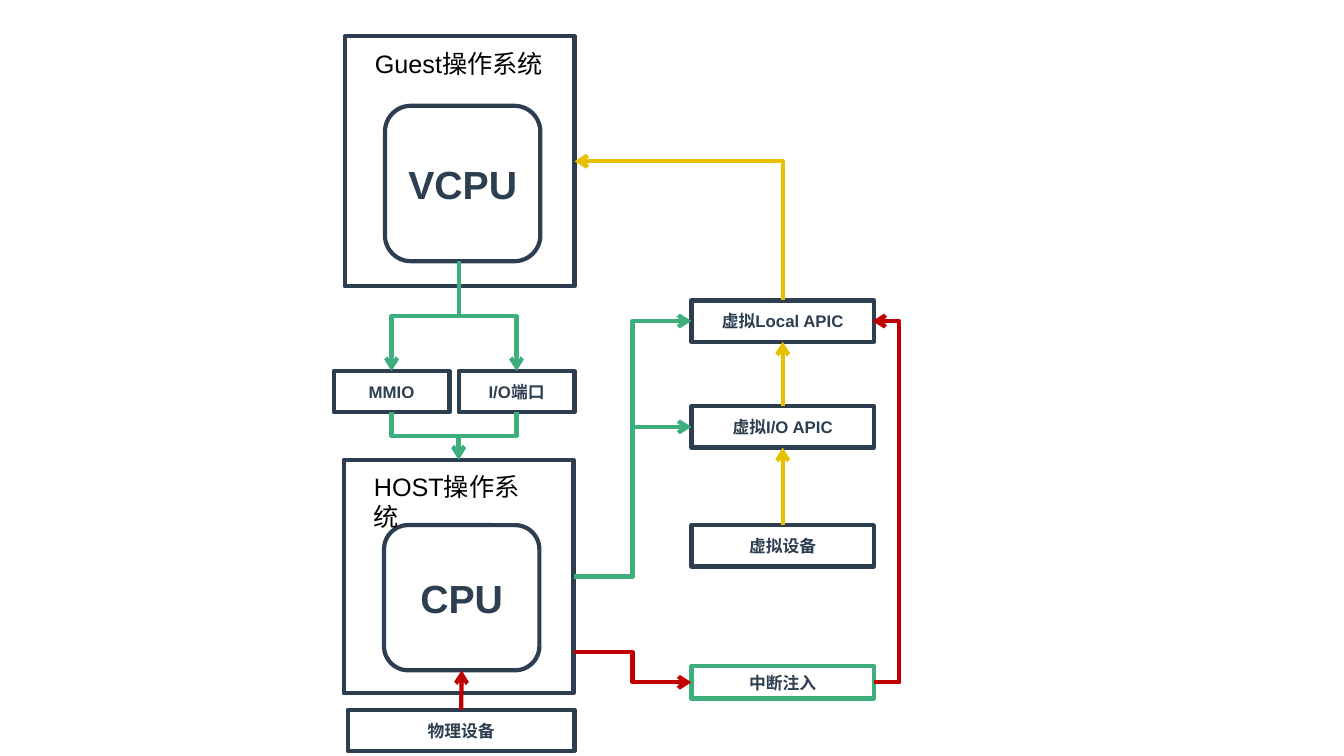
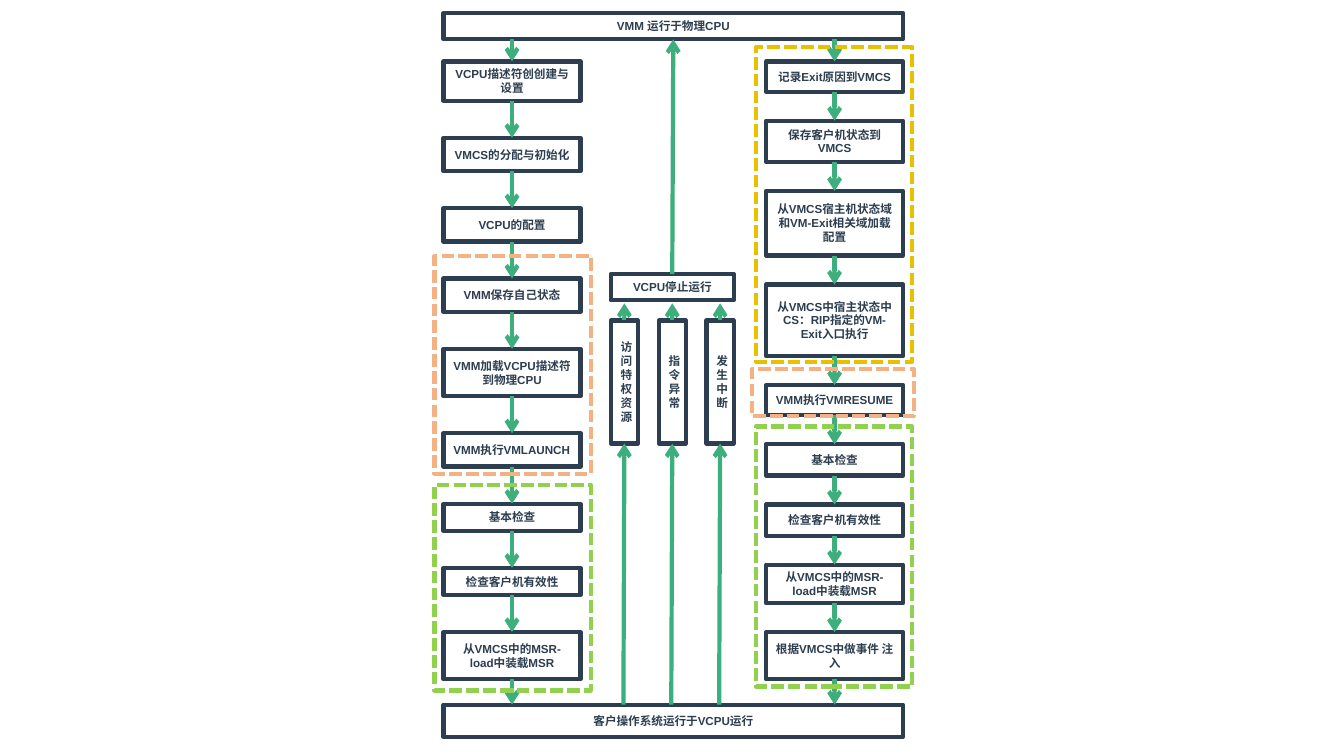
from typing import NamedTuple

from lxml.etree import SubElement
from pptx import Presentation
from pptx.dml.color import RGBColor
from pptx.enum.dml import MSO_LINE
from pptx.enum.shapes import MSO_CONNECTOR as Link, MSO_SHAPE as Preset
from pptx.enum.text import MSO_ANCHOR as Anchor, PP_ALIGN as Align
from pptx.oxml.ns import qn
from pptx.util import Pt

NAVY, GREEN, GOLD, RED = "2C3E50", "3EAF7C", "E7C000", "C00000"
LIME, PEACH, BLACK = "92D050", "F4B183", "000000"
FONT = "Arial"
LINE_WIDTH = 3
TOP, LEFT, BOTTOM, RIGHT = range(4)


class Box(NamedTuple):
    left: float
    top: float
    width: float
    height: float

    def inner(self, left, top, width, height):
        """Box given relative to this one's top left corner."""
        return Box(self.left + left, self.top + top, width, height)

    def lengths(self):
        return [Pt(length) for length in self]


class Port(NamedTuple):
    """Middle of one side of a shape."""
    shape: object
    side: int

    def point(self):
        shape = self.shape
        left, top = shape.left.pt, shape.top.pt
        width, height = shape.width.pt, shape.height.pt
        across = {LEFT: 0, RIGHT: 1}.get(self.side, 0.5)
        down = {TOP: 0, BOTTOM: 1}.get(self.side, 0.5)
        return left + across * width, top + down * height


def point_of(place):
    return place.point() if isinstance(place, Port) else place


def paint(color_format, color):
    color_format.rgb = RGBColor.from_string(color)


def write(shape, text, size=12, color=NAVY, bold=True,
          align=Align.CENTER, anchor=Anchor.MIDDLE):
    frame = shape.text_frame
    frame.word_wrap = True
    frame.vertical_anchor = anchor
    para = frame.paragraphs[0]
    para.alignment = align
    span = para.add_run()
    span.text = text
    span.font.name = FONT
    span.font.size = Pt(size)
    span.font.bold = bold
    paint(span.font.color, color)


def outline(page, box, text="", line=NAVY, preset=Preset.RECTANGLE,
            dashed=False, **text_format):
    shape = page.shapes.add_shape(preset, *box.lengths())
    shape.shadow.inherit = False
    shape.fill.background()
    paint(shape.line.color, line)
    shape.line.width = Pt(LINE_WIDTH)
    if dashed:
        shape.line.dash_style = MSO_LINE.SQUARE_DOT
    if text:
        write(shape, text, **text_format)
    return shape


def add_arrow(page, kind, start, end, color):
    ends = [Pt(length) for length in (*start, *end)]
    connector = page.shapes.add_connector(kind, *ends)
    paint(connector.line.color, color)
    connector.line.width = Pt(LINE_WIDTH)
    properties = connector.element.spPr
    SubElement(properties.find(qn("a:ln")), qn("a:tailEnd"), type="arrow")
    SubElement(properties, qn("a:effectLst"))
    return connector


def straight(page, start, end, color=GREEN):
    connector = add_arrow(page, Link.STRAIGHT, point_of(start), point_of(end), color)
    if isinstance(start, Port):
        connector.begin_connect(*start)
    if isinstance(end, Port):
        connector.end_connect(*end)


def elbow(page, start, end, color=GREEN, upright=False, corner=False, bend_x=None):
    """Bent arrow; upright starts vertically, corner bends once, bend_x sets the turn."""
    (x1, y1), (x2, y2) = point_of(start), point_of(end)
    if not upright:
        connector = add_arrow(page, Link.ELBOW, (x1, y1), (x2, y2), color)
    else:
        middle_x, middle_y = (x1 + x2) / 2, (y1 + y2) / 2
        half_w, half_h = abs(y2 - y1) / 2, abs(x2 - x1) / 2
        if (x2 - x1) * (y2 - y1) > 0:
            half_h = -half_h
        connector = add_arrow(page, Link.ELBOW,
                              (middle_x - half_w, middle_y - half_h),
                              (middle_x + half_w, middle_y + half_h), color)
        connector.element.spPr.xfrm.set("rot", str((90 if y2 > y1 else 270) * 60000))
    geometry = connector.element.spPr.find(qn("a:prstGeom"))
    if corner:
        geometry.set("prst", "bentConnector2")
    if bend_x is not None:
        guides = geometry.find(qn("a:avLst"))
        if guides is None:
            guides = SubElement(geometry, qn("a:avLst"))
        ratio = round((bend_x - x1) / (x2 - x1) * 100000)
        SubElement(guides, qn("a:gd"), name="adj1", fmla=f"val {ratio}")


def system_panel(page, box, title, core, core_top, core_height):
    """Operating system frame with its processor; returns both shapes."""
    processor = outline(page, box.inner(28.8, core_top, 111, core_height), core,
                        preset=Preset.ROUNDED_RECTANGLE, size=28)
    frame = outline(page, box)
    label = page.shapes.add_textbox(*box.inner(14.5, 4.7, 135, 29).lengths())
    write(label, title, size=18, color=BLACK, bold=False,
          align=Align.LEFT, anchor=Anchor.TOP)
    return frame, processor


def access_row(page, box, names, gap):
    width = (box.width - gap * (len(names) - 1)) / len(names)
    return [outline(page, box.inner(i * (width + gap), 0, width, box.height), name)
            for i, name in enumerate(names)]


def virtual_devices(page, box):
    """Interrupt controllers above the virtual device that feeds them."""
    rows = [("虚拟Local APIC", 0), ("虚拟I/O APIC", 75.6), ("虚拟设备", 160.5)]
    local, shared, device = [outline(page, box.inner(0, top, box.width, 29.5), name)
                             for name, top in rows]
    straight(page, Port(device, TOP), Port(shared, BOTTOM), GOLD)
    straight(page, Port(shared, TOP), Port(local, BOTTOM), GOLD)
    return local, shared


def interrupt_page(page):
    guest, vcpu = system_panel(page, Box(246.2, 25.9, 164.2, 178.6),
                               "Guest操作系统", "VCPU", 49.7, 111)
    host, cpu = system_panel(page, Box(245.5, 328.3, 164.2, 167),
                             "HOST操作系统", "CPU", 46.8, 103.7)
    accesses = access_row(page, Box(238.3, 265, 172.1, 29.5), ["MMIO", "I/O端口"], 6.5)
    local, shared = virtual_devices(page, Box(493.9, 214.6, 130.3, 190))
    injection = outline(page, Box(493.9, 475.9, 130.3, 23), "中断注入", GREEN)
    hardware = outline(page, Box(248.4, 506.9, 162, 29.5), "物理设备")

    vcpu_exit = (328, Port(vcpu, BOTTOM).point()[1])
    for access in accesses:
        elbow(page, vcpu_exit, Port(access, TOP), upright=True)
        elbow(page, Port(access, BOTTOM), Port(host, TOP), upright=True)
    for controller in (shared, local):
        elbow(page, Port(host, RIGHT), Port(controller, LEFT))
    elbow(page, Port(local, TOP), Port(guest, RIGHT), GOLD, upright=True, corner=True)
    straight(page, Port(hardware, TOP), Port(cpu, BOTTOM), RED)
    elbow(page, (409.7, 465.8), Port(injection, LEFT), RED)
    local_x, local_y = Port(local, RIGHT).point()
    elbow(page, Port(injection, RIGHT), (local_x - 1, local_y), RED, bend_x=642.5)


def step_column(page, box, steps, above, below):
    """Stack of steps with equal gaps, joined by arrows between two bars."""
    gap = (box.height - sum(height for _, height, _ in steps)) / (len(steps) - 1)
    top, shapes = 0, []
    for text, height, align in steps:
        shapes.append(outline(page, box.inner(0, top, box.width, height), text,
                              size=8.3, align=align))
        top += height + gap
    center = box.left + box.width / 2
    straight(page, (center, Port(above, BOTTOM).point()[1]), Port(shapes[0], TOP))
    for upper, lower in zip(shapes, shapes[1:]):
        straight(page, Port(upper, BOTTOM), Port(lower, TOP))
    straight(page, Port(shapes[-1], BOTTOM), (center, Port(below, TOP).point()[1]))


def exit_lanes(page, box, causes, above, below):
    """Upright causes of a stop, fed by the guest bar and leading to the stop box."""
    stop = outline(page, box.inner(0, 0, box.width, 18.7), "VCPU停止运行", size=8.3)
    lane_width = 19.4
    pitch = (box.width - lane_width) / (len(causes) - 1)
    for i, cause in enumerate(causes):
        lane = outline(page, box.inner(i * pitch, 33.1, lane_width, box.height - 33.1),
                       cause, size=8.3)
        center = Port(lane, TOP).point()[0]
        straight(page, (center - 0.7, Port(below, TOP).point()[1]), Port(lane, BOTTOM))
        straight(page, Port(lane, TOP), (center, box.top + 20.9))
    straight(page, Port(stop, TOP), Port(above, BOTTOM))


def lifecycle_page(page):
    middle, left = Align.CENTER, Align.LEFT
    monitor = outline(page, Box(316.8, 9.4, 328.3, 18.7), "VMM 运行于物理CPU", size=8.3)
    guest = outline(page, Box(316.8, 503.3, 328.3, 23), "客户操作系统运行于VCPU运行",
                    size=8.3)
    launch_steps = [
        ("VCPU描述符创创建与设置", 28.1, middle),
        ("VMCS的分配与初始化", 23.8, middle),
        ("VCPU的配置", 23.8, middle),
        ("VMM保存自己状态", 23.8, middle),
        ("VMM加载VCPU描述符到物理CPU", 33.8, middle),
        ("VMM执行VMLAUNCH", 23.8, left),
        ("基本检查", 19.4, middle),
        ("检查客户机有效性", 19.4, middle),
        ("从VMCS中的MSR-load中装载MSR", 33.8, middle),
    ]
    resume_steps = [
        ("记录Exit原因到VMCS", 21.6, middle),
        ("保存客户机状态到VMCS", 29.5, middle),
        ("从VMCS宿主机状态域和VM-Exit相关域加载配置", 46.1, middle),
        ("从VMCS中宿主状态中CS：RIP指定的VM-Exit入口执行", 51.1, middle),
        ("VMM执行VMRESUME", 21.6, middle),
        ("基本检查", 22.3, middle),
        ("检查客户机有效性", 22.3, middle),
        ("从VMCS中的MSR-load中装载MSR", 27.4, middle),
        ("根据VMCS中做事件 注入", 33.8, middle),
    ]
    for column_left, steps in ((316.8, launch_steps), (547.2, resume_steps)):
        step_column(page, Box(column_left, 43.9, 97.9, 441.4), steps, monitor, guest)
    exit_lanes(page, Box(436.3, 195.8, 87.8, 121),
               ["访问特权资源", "指令异常", "发生中断"], monitor, guest)
    phases = [
        (Box(310.3, 346.3, 111.6, 146.9), LIME),
        (Box(310.3, 182.9, 111.6, 155.5), PEACH),
        (Box(540, 304.6, 111.6, 185.8), LIME),
        (Box(540, 33.8, 111.6, 224.6), GOLD),
        (Box(537.1, 263.5, 115.9, 33.8), PEACH),
    ]
    for box, color in phases:
        outline(page, box, line=color, dashed=True)


def main():
    deck = Presentation()
    deck.slide_width, deck.slide_height = Pt(960), Pt(540)
    blank = deck.slide_layouts[6]
    for build in (interrupt_page, lifecycle_page):
        build(deck.slides.add_slide(blank))
    deck.save("out.pptx")


if __name__ == "__main__":
    main()
